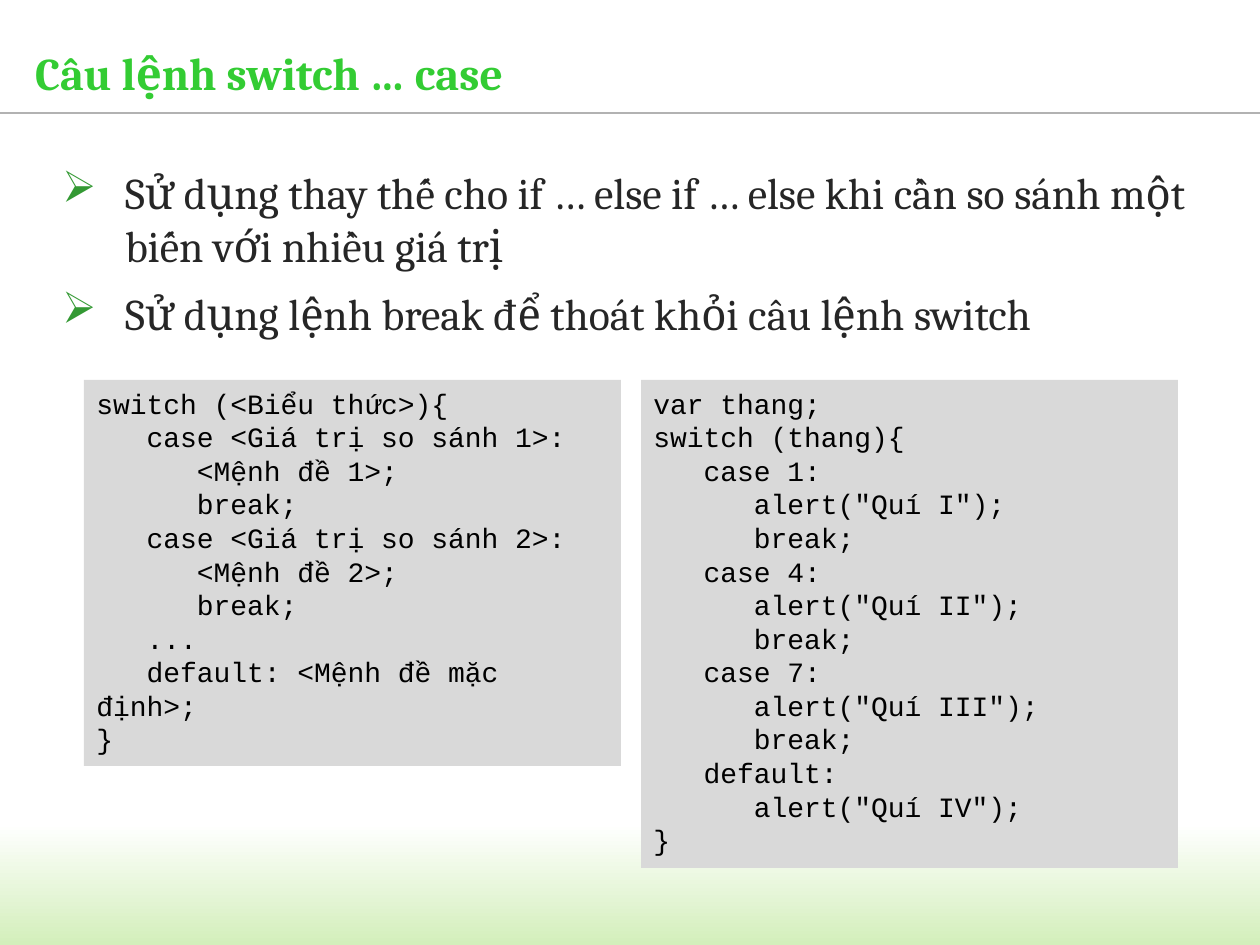
from dataclasses import dataclass

from pptx import Presentation
from pptx import util as u
from pptx.dml.color import RGBColor
from pptx.enum import shapes, text
from pptx.oxml.ns import qn
from lxml import etree

SCALE = 914400 / 126


def px(n):
    return u.Emu(round(n * SCALE))


@dataclass(frozen=True)
class Theme:
    white: str = "FFFFFF"
    mist: str = "D3EFBB"
    rule: str = "B2B2B2"
    title: str = "33CC33"
    bullet: str = "339933"
    body: str = "262626"
    panel: str = "D9D9D9"
    code: str = "000000"
    serif: str = "Cambria"
    mono: str = "Courier New"
    title_size: int = 26
    body_size: int = 25
    code_size: int = 16


class Deck:
    def __init__(self, prs, theme):
        self.t = theme
        self.s = prs.slides.add_slide(prs.slide_layouts[5])

    def frame(self, tf, lines, font, size, color, bold=False, after=0, **fmt):
        fmt = {"word_wrap": True, "auto_size": text.MSO_AUTO_SIZE.NONE, **fmt}
        for name, value in fmt.items():
            setattr(tf, name, value)
        for i, line in enumerate(lines):
            p = tf.paragraphs[0] if i == 0 else tf.add_paragraph()
            p.alignment = text.PP_ALIGN.LEFT
            p.space_after = u.Pt(after)
            r = p.add_run()
            r.text = line
            r.font.color.rgb = RGBColor.from_string(color)
            for name, value in {"name": font, "size": u.Pt(size), "bold": bold}.items():
                setattr(r.font, name, value)

    def plain(self, tf, lines, size, color, **fmt):
        margins = dict.fromkeys(
            ("margin_left", "margin_top", "margin_right", "margin_bottom"), 0)
        self.frame(tf, lines, self.t.serif, size, color, **margins, **fmt)

    def rect(self, x, y, w, h):
        sp = self.s.shapes.add_shape(
            shapes.MSO_SHAPE.RECTANGLE, px(x), px(y), px(w), px(h))
        sp.shadow.inherit = False
        sp.line.fill.background()
        return sp

    def gradient(self, x, y, w, h):
        fill = self.rect(x, y, w, h).fill
        fill.gradient()
        fill.gradient_angle = 270
        for stop, color, pos in zip(
                fill.gradient_stops, (self.t.white, self.t.mist), (0, 1)):
            stop.color.rgb = RGBColor.from_string(color)
            stop.position = pos

    def rule(self, x1, y1, x2, y2):
        c = self.s.shapes.add_connector(
            shapes.MSO_CONNECTOR.STRAIGHT, px(x1), px(y1), px(x2), px(y2))
        c.line.color.rgb = RGBColor.from_string(self.t.rule)
        c.line.width = u.Pt(0.75)
        etree.SubElement(c._element.spPr, qn("a:effectLst"))

    def title(self, x, y, w, h, line):
        sp = self.s.shapes.title
        box = {"left": x, "top": y, "width": w, "height": h}
        for name, value in box.items():
            setattr(sp, name, px(value))
        self.plain(sp.text_frame, [line], self.t.title_size, self.t.title,
                   bold=True, vertical_anchor=text.MSO_ANCHOR.MIDDLE)

    def bullets(self, x, y, w, h, lines, indent):
        sp = self.s.shapes.add_textbox(px(x), px(y), px(w), px(h))
        tf = sp.text_frame
        self.plain(tf, lines, self.t.body_size, self.t.body, after=9)
        for p in tf.paragraphs:
            pPr = p._p.get_or_add_pPr()
            pPr.set("marL", str(px(indent)))
            pPr.set("indent", str(-px(indent)))
            clr = etree.SubElement(pPr, qn("a:buClr"))
            etree.SubElement(clr, qn("a:srgbClr"), val=self.t.bullet)
            etree.SubElement(pPr, qn("a:buChar"), char="➢")

    def code(self, x, y, w, h, source):
        sp = self.rect(x, y, w, h)
        sp.fill.solid()
        sp.fill.fore_color.rgb = RGBColor.from_string(self.t.panel)
        self.frame(sp.text_frame, source.strip().splitlines(),
                   self.t.mono, self.t.code_size, self.t.code,
                   vertical_anchor=text.MSO_ANCHOR.TOP,
                   auto_size=text.MSO_AUTO_SIZE.SHAPE_TO_FIT_TEXT)


SYNTAX = """
switch (<Biểu thức>){
   case <Giá trị so sánh 1>:
      <Mệnh đề 1>;
      break;
   case <Giá trị so sánh 2>:
      <Mệnh đề 2>;
      break;
   ...
   default: <Mệnh đề mặc định>;
}
"""

EXAMPLE = """
var thang;
switch (thang){
   case 1:
      alert("Quí I");
      break;
   case 4:
      alert("Quí II");
      break;
   case 7:
      alert("Quí III");
      break;
   default:
      alert("Quí IV");
}
"""


def main():
    prs = Presentation()
    prs.slide_width, prs.slide_height = px(1260), px(945)
    d = Deck(prs, Theme())
    d.gradient(-4, 823, 1264, 122)
    d.rule(0, 113, 1260, 113)
    d.title(35, 32, 1181, 81, "Câu lệnh switch … case")
    d.bullets(62, 166, 1138, 634, [
        "Sử dụng thay thế cho if … else if … else khi cần so sánh một biến với nhiều giá trị",
        "Sử dụng lệnh break để thoát khỏi câu lệnh switch",
    ], indent=63)
    for x, h, source in ((84, 386, SYNTAX), (641, 488, EXAMPLE)):
        d.code(x, 380, 537, h, source)
    prs.save("out.pptx")


if __name__ == "__main__":
    main()
